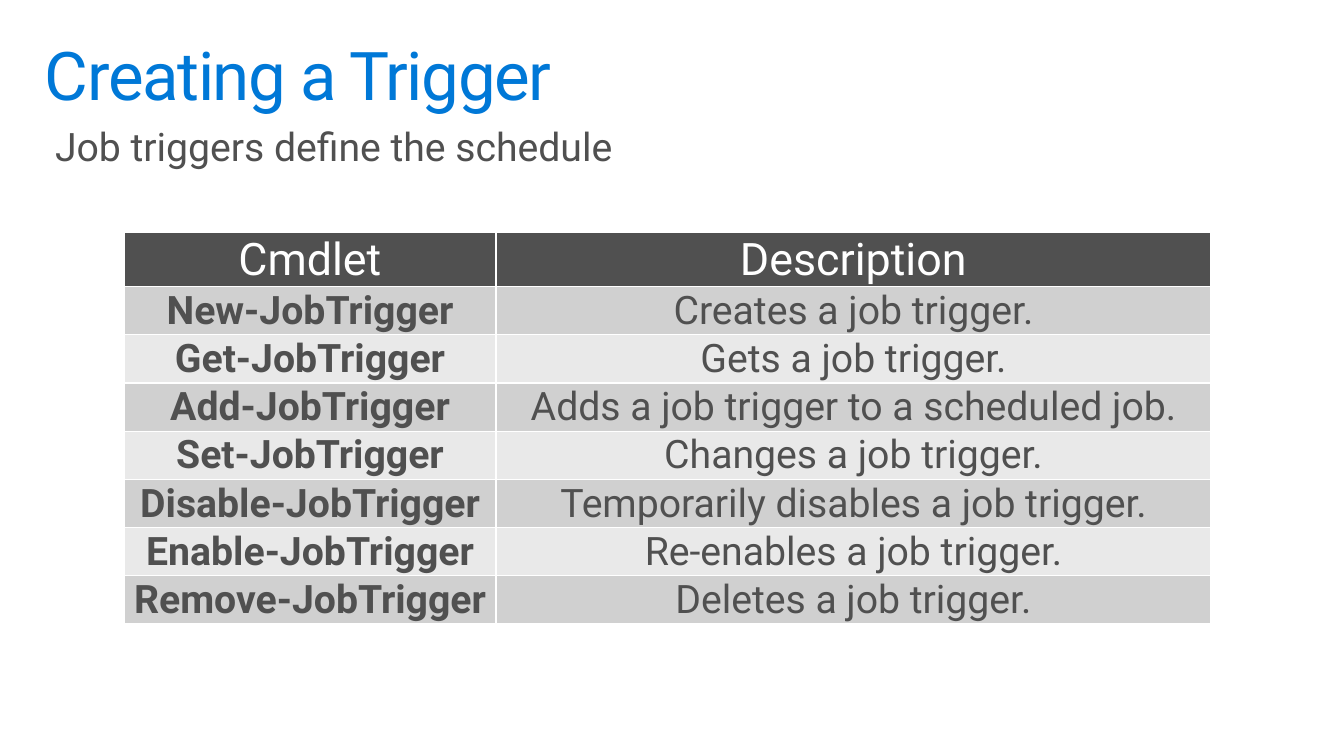
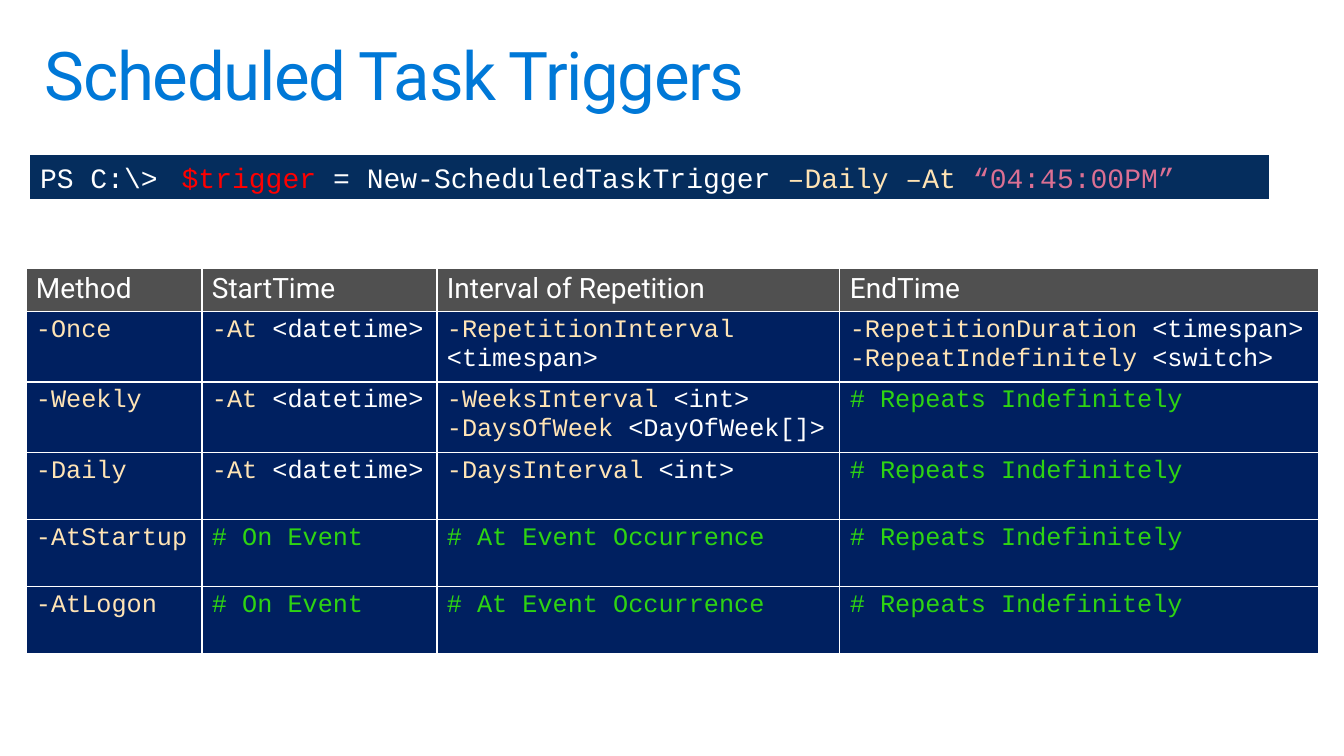
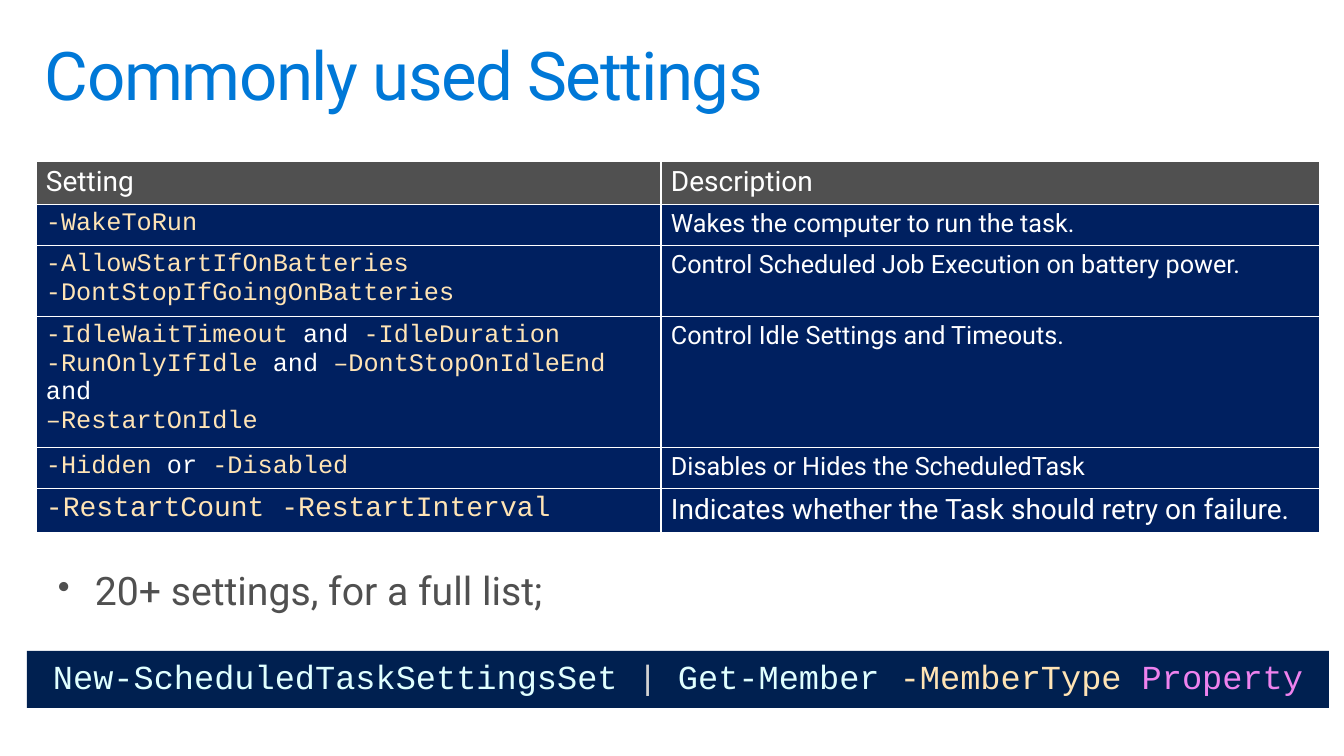
from itertools import groupby

from lxml import etree
from pptx import Presentation
from pptx.dml.color import RGBColor
from pptx.enum.shapes import MSO_SHAPE
from pptx.enum.text import MSO_ANCHOR, PP_ALIGN
from pptx.oxml.ns import qn
from pptx.util import Emu, Pt

RECT = MSO_SHAPE.RECTANGLE
TOP, MIDDLE = MSO_ANCHOR.TOP, MSO_ANCHOR.MIDDLE
LEFT, CENTER = PP_ALIGN.LEFT, PP_ALIGN.CENTER

SLIDE_W, SLIDE_H = 1344, 756
SCALE = 12192000 / SLIDE_W
SANS, MONO = "Roboto", "Courier New"
BLUE, GREY, WHITE = "0078D7", "505050", "FFFFFF"
NAVY, DARK_BLUE, MIDNIGHT = "002060", "052D5D", "002050"
BAND_DARK, BAND_LIGHT = "D0D0D0", "E9E9E9"
PARAM, COMMENT, VARIABLE, STRING = "FFE4B5", "2ED412", "FF0000", "DB7093"
CMDLET, PIPE, VALUE = "E0FFFF", "D3D3D3", "EE82EE"
TEXT_INSETS = (16, 10, 16, 10)
CELL_INSETS = (10, 5, 10, 5)
TIGHT_INSETS = (1, 1, 1, 0)


def px(n):
    return Emu(round(n * SCALE))


def rgb(color):
    return RGBColor.from_string(color)


def add_run(p, text, color, name=SANS, size=18, bold=False):
    r = p.add_run()
    r.text = text
    for key, value in {"name": name, "size": Pt(size), "bold": bold}.items():
        setattr(r.font, key, value)
    r.font.color.rgb = rgb(color)
    return r


def set_frame(target, insets, anchor=TOP):
    """Set the insets and anchor of a text frame or a table cell."""
    for side, inset in zip(("left", "top", "right", "bottom"), insets):
        setattr(target, f"margin_{side}", px(inset))
    target.vertical_anchor = anchor


def add_text(s, box, text, color, size):
    """Add a one-paragraph text box; return its paragraph and run."""
    tf = s.shapes.add_textbox(*map(px, box)).text_frame
    tf.word_wrap = True
    set_frame(tf, TEXT_INSETS)
    p = tf.paragraphs[0]
    p.line_spacing = 0.9
    return p, add_run(p, text, color, size=size)


def add_title(s, text):
    _, r = add_text(s, (29, 32, 1285, 99), text, BLUE, 48)
    r._r.get_or_add_rPr().set("spc", "-100")


def add_bullet(p, indent):
    pPr = p._p.get_or_add_pPr()
    pPr.set("marL", str(px(indent)))
    pPr.set("indent", str(px(-indent)))
    etree.SubElement(pPr, qn("a:buSzPct"), val="90000")
    etree.SubElement(pPr, qn("a:buChar"), char="•")


def add_command(s, box, fill, insets, size, parts):
    """Add a filled bar holding one line of (text, colour, font) parts."""
    bar = s.shapes.add_shape(RECT, *map(px, box))
    bar.shadow.inherit = False
    bar.fill.solid()
    bar.fill.fore_color.rgb = rgb(fill)
    bar.line.fill.background()
    tf = bar.text_frame
    tf.word_wrap = True
    set_frame(tf, insets)
    p = tf.paragraphs[0]
    p.alignment = LEFT
    for text, color, name in parts:
        add_run(p, text, color, name, size)


def code_runs(line):
    """Split a code line into (text, colour) by the first sign of each word."""
    if line.startswith("#"):
        return [(line, COMMENT)]
    words = line.split(" ")
    pieces = [w + " " for w in words[:-1]] + words[-1:]
    groups = groupby(pieces, lambda w: PARAM if w[0] in "-–" else WHITE)
    return [("".join(group), color) for color, group in groups]


def set_cell(cell, fill, lines, insets, anchor=TOP, align=LEFT, **font):
    """Fill and border a cell; lines hold lists of (text, colour)."""
    tcPr = cell._tc.get_or_add_tcPr()
    for side in ("lnL", "lnR", "lnT", "lnB"):
        ln = etree.SubElement(tcPr, qn(f"a:{side}"), w=str(Pt(1)))
        solid = etree.SubElement(ln, qn("a:solidFill"))
        etree.SubElement(solid, qn("a:srgbClr"), val=WHITE)
    cell.fill.solid()
    cell.fill.fore_color.rgb = rgb(fill)
    set_frame(cell, insets, anchor)
    tf = cell.text_frame
    for i, runs in enumerate(lines):
        p = tf.add_paragraph() if i else tf.paragraphs[0]
        p.alignment = align
        for text, color in runs:
            add_run(p, text, color, **font)


def add_grid(s, left, top, widths, heights):
    frame = s.shapes.add_table(len(heights), len(widths), px(left), px(top),
                               px(sum(widths)), px(sum(heights)))
    table = frame.table
    for column, width in zip(table.columns, widths):
        column.width = px(width)
    for row, height in zip(table.rows, heights):
        row.height = px(height)
    return table


def set_header(table, labels, size=20, **layout):
    layout = {"insets": CELL_INSETS, **layout}
    for cell, label in zip(table.rows[0].cells, labels):
        set_cell(cell, GREY, [[(label, WHITE)]], size=size, **layout)


def set_code_cell(cell, text, size=18):
    lines = [code_runs(line) for line in text.split("\n")]
    set_cell(cell, NAVY, lines, CELL_INSETS, name=MONO, size=size)


def build_trigger_cmdlets(s):
    cmdlets = [
        ("New", "Creates a job trigger."),
        ("Get", "Gets a job trigger."),
        ("Add", "Adds a job trigger to a scheduled job."),
        ("Set", "Changes a job trigger."),
        ("Disable", "Temporarily disables a job trigger."),
        ("Enable", "Re-enables a job trigger."),
        ("Remove", "Deletes a job trigger."),
    ]
    add_title(s, "Creating a Trigger")
    add_text(s, (39, 118, 1226, 115), "Job triggers define the schedule",
             GREY, 28)
    table = add_grid(s, 124, 232, (372, 715), [52] + [47] * len(cmdlets))
    layout = {"insets": TIGHT_INSETS, "anchor": MIDDLE, "align": CENTER}
    set_header(table, ("Cmdlet", "Description"), 32, **layout)
    for i, (verb, description) in enumerate(cmdlets, 1):
        fill = BAND_DARK if i % 2 else BAND_LIGHT
        for j, text in enumerate((f"{verb}-JobTrigger", description)):
            set_cell(table.cell(i, j), fill, [[(text, GREY)]],
                     size=28, bold=j == 0, **layout)


def build_task_triggers(s):
    at, event = "-At <datetime>", "# On Event"
    occurrence, forever = "# At Event Occurrence", "# Repeats Indefinitely"
    methods = [
        ("-Once", at, "-RepetitionInterval <timespan>",
         "-RepetitionDuration <timespan>\n-RepeatIndefinitely <switch>"),
        ("-Weekly", at, "-WeeksInterval <int>\n-DaysOfWeek <DayOfWeek[]>",
         forever),
        ("-Daily", at, "-DaysInterval <int>", forever),
        ("-AtStartup", event, occurrence, forever),
        ("-AtLogon", event, occurrence, forever),
    ]
    add_title(s, "Scheduled Task Triggers")
    table = add_grid(s, 26, 268, (176, 235, 403, 479),
                     [43] + [67] * len(methods))
    set_header(table, ("Method", "StartTime", "Interval of Repetition",
                       "EndTime"))
    for i, method in enumerate(methods, 1):
        for j, text in enumerate(method):
            set_code_cell(table.cell(i, j), text)
    add_command(s, (30, 155, 1239, 44), DARK_BLUE, CELL_INSETS, 20, [
        ("PS C:\\> ", WHITE, MONO),
        (" ", WHITE, SANS),
        ("$trigger ", VARIABLE, MONO),
        ("= New-ScheduledTaskTrigger ", WHITE, MONO),
        ("–Daily –At ", PARAM, MONO),
        ("“04:45:00PM”", STRING, MONO),
    ])


def build_settings(s):
    settings = [
        (41, 18, "-WakeToRun", "Wakes the computer to run the task."),
        (71, 18, "-AllowStartIfOnBatteries\n-DontStopIfGoingOnBatteries",
         "Control Scheduled Job Execution on battery power."),
        (131, 18, "-IdleWaitTimeout and -IdleDuration\n"
         "-RunOnlyIfIdle and –DontStopOnIdleEnd and\n–RestartOnIdle",
         "Control Idle Settings and Timeouts."),
        (41, 18, "-Hidden or -Disabled",
         "Disables or Hides the ScheduledTask"),
        (43, 20, "-RestartCount -RestartInterval",
         "Indicates whether the Task should retry on failure."),
    ]
    add_title(s, "Commonly used Settings")
    p, _ = add_text(s, (42, 562, 1284, 79), "20+ settings, for a full list;",
                    GREY, 28)
    add_bullet(p, 37)
    add_command(s, (27, 651, 1302, 57), MIDNIGHT, (26, 5, 10, 5), 24, [
        ("New-ScheduledTaskSettingsSet ", CMDLET, MONO),
        ("| ", PIPE, MONO),
        ("Get-Member ", CMDLET, MONO),
        ("-MemberType ", PARAM, MONO),
        ("Property", VALUE, MONO),
    ])
    table = add_grid(s, 36, 161, (625, 659),
                     [43] + [height for height, *_ in settings])
    set_header(table, ("Setting", "Description"))
    for i, (_, size, names, description) in enumerate(settings, 1):
        set_code_cell(table.cell(i, 0), names, size)
        set_cell(table.cell(i, 1), NAVY, [[(description, WHITE)]],
                 CELL_INSETS, size=size)


def main():
    prs = Presentation()
    prs.slide_width, prs.slide_height = px(SLIDE_W), px(SLIDE_H)
    blank = prs.slide_layouts[6]
    for build in (build_trigger_cmdlets, build_task_triggers, build_settings):
        build(prs.slides.add_slide(blank))
    prs.save("out.pptx")


if __name__ == "__main__":
    main()
